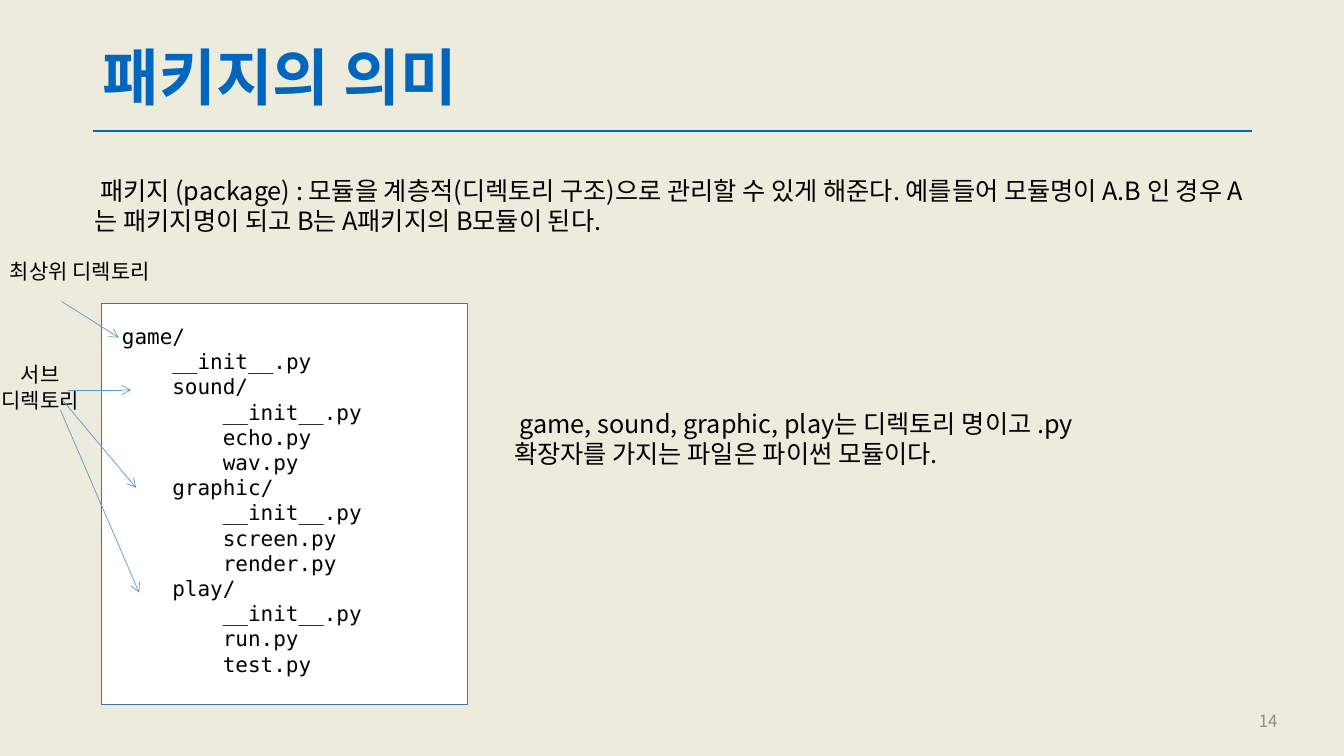
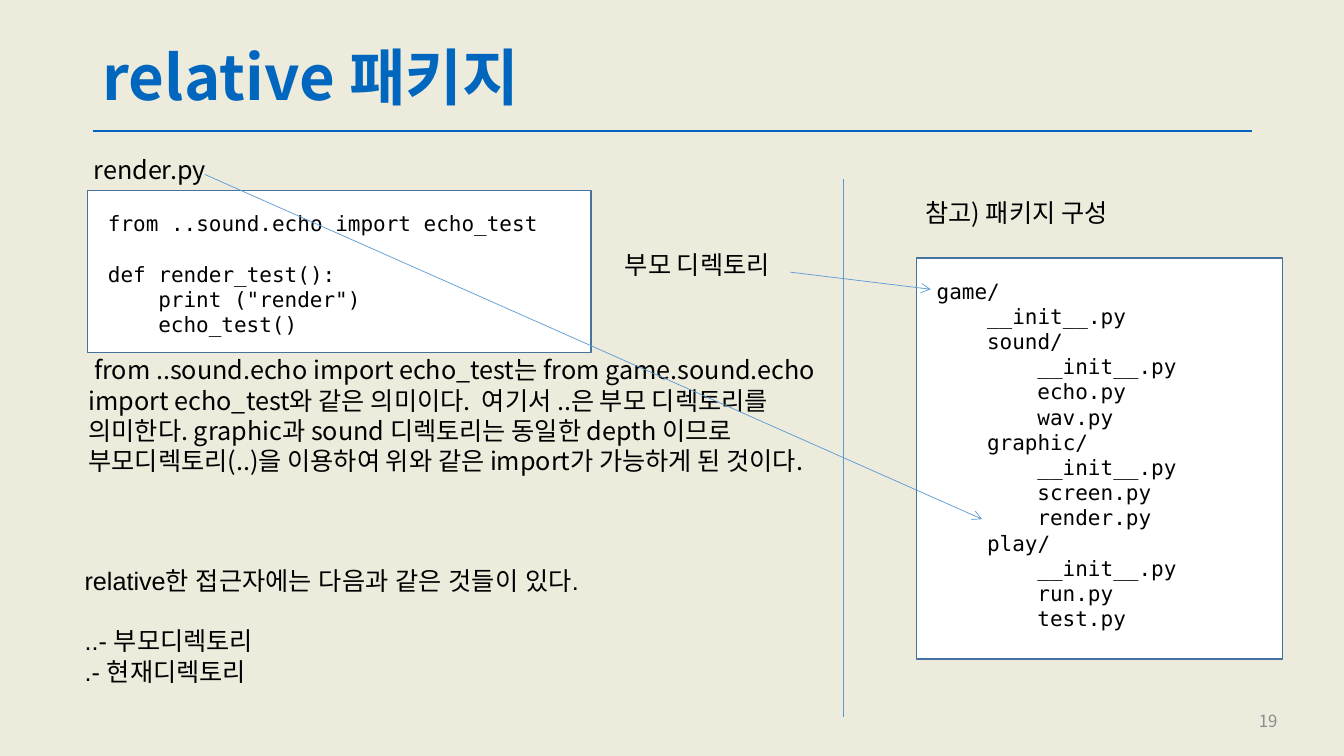
from dataclasses import dataclass

from lxml.etree import SubElement
from pptx import Presentation
from pptx.dml.color import RGBColor
from pptx.enum.shapes import MSO_CONNECTOR, MSO_SHAPE
from pptx.enum.text import MSO_ANCHOR, MSO_AUTO_SIZE, PP_ALIGN
from pptx.oxml.ns import qn
from pptx.util import Inches, Pt


@dataclass(frozen=True)
class Theme:
    paper: str = "ECEBDC"
    accent: str = "0066BE"
    ink: str = "000000"
    muted: str = "8C8C8C"
    panel: str = "FFFFFF"
    panel_edge: str = "43739E"
    pointer: str = "5B9BD5"
    sans: str = "Noto Sans CJK KR"
    mono: str = "DejaVu Sans Mono"
    latin: str = "Arial"
    title_size: float = 44
    body_size: float = 18
    small_size: float = 15
    number_size: float = 12
    rule_width: float = 1.5
    panel_width: float = 1
    pointer_width: float = 0.5
    indent: float = 0.5
    panel_inset: float = 0.2


@dataclass(frozen=True)
class Line:
    text: str
    depth: int = 0
    gap: float = 0


theme = Theme()
TITLE_AREA = (0.92, 0.4, 11.5, 0.8)
NUMBER_AREA = (9.77, 6.95, 3, 0.4)
RULE = ((0.92, 1.3), (12.42, 1.3))
TREE_SIZE = (3.63, 3.98)

PACKAGE_FOLDERS = {
    "sound/": ("__init__.py", "echo.py", "wav.py"),
    "graphic/": ("__init__.py", "screen.py", "render.py"),
    "play/": ("__init__.py", "run.py", "test.py"),
}
PACKAGE_TREE = [Line("game/"), Line("__init__.py", 1)]
for folder, files in PACKAGE_FOLDERS.items():
    PACKAGE_TREE += [Line(folder, 1), *(Line(name, 2) for name in files)]

RENDER_CODE = [
    Line("from ..sound.echo import echo_test"),
    Line("def render_test():", gap=18),
    Line('print ("render")', 1),
    Line("echo_test()", 1),
]
ACCESSORS = [
    Line("relative한 접근자에는 다음과 같은 것들이 있다."),
    Line("..- 부모디렉토리", gap=21.5),
    Line(".- 현재디렉토리"),
]

SMALL = {"size": theme.small_size}
TIGHT = {"wrap": False}
PAGES = [
    {
        "title": "패키지의 의미",
        "number": "14",
        "panels": [((1.01, 3.01, *TREE_SIZE), PACKAGE_TREE)],
        "texts": [
            ((0.84, 1.69, 11.65, 0.7),
             [Line(" 패키지 (package) : 모듈을 계층적(디렉토리 구조)으로 관리할 수 있게 해준다. "
                   "예를들어 모듈명이 A.B 인 경우 A는 패키지명이 되고 B는 A패키지의 B모듈이 된다.")], {}),
            ((5, 4, 6.5, 0.7),
             [Line(" game, sound, graphic, play는 디렉토리 명이고 .py "
                   "확장자를 가지는 파일은 파이썬 모듈이다.")], {}),
            ((0, 2.52, 2.05, 0.35), [Line("최상위 디렉토리")], SMALL),
            ((-0.12, 3.54, 1.04, 0.59), [Line("서브"), Line("디렉토리")],
             {**SMALL, **TIGHT, "align": PP_ALIGN.CENTER}),
        ],
        "arrows": [
            ((0.61, 2.99), (1.18, 3.35)),
            ((0.67, 3.87), (1.3, 3.87)),
            ((0.62, 3.97), (1.35, 4.84)),
            ((0.6, 4.07), (1.38, 5.88)),
        ],
        "dividers": [],
    },
    {
        "title": "relative 패키지",
        "number": "19",
        "panels": [
            ((0.87, 1.89, 4.99, 1.61), RENDER_CODE),
            ((9.09, 2.56, *TREE_SIZE), PACKAGE_TREE),
        ],
        "texts": [
            ((0.83, 1.48, 4.32, 0.4), [Line("render.py")], {}),
            ((0.78, 3.47, 7.42, 1.59),
             [Line(" from ..sound.echo import echo_test는 from game.sound.echo import "
                   "echo_test와 같은 의미이다.  여기서 ..은 부모 디렉토리를 의미한다. "
                   "graphic과 sound 디렉토리는 동일한 depth 이므로 부모디렉토리(..)을 "
                   "이용하여 위와 같은 import가 가능하게 된 것이다.")], {}),
            ((0.74, 5.56, 5.51, 1.3), ACCESSORS, {"font": theme.latin}),
            ((9.08, 1.91, 2.21, 0.4), [Line("참고) 패키지 구성")], TIGHT),
            ((6.1, 2.42, 1.8, 0.4), [Line("부모 디렉토리")], TIGHT),
        ],
        "arrows": [((2.03, 1.73), (9.74, 5.15)), ((7.84, 2.7), (9.23, 2.87))],
        "dividers": [((8.36, 1.78), (8.36, 7.11))],
    },
]


def apply(target, values):
    for name, value in values.items():
        setattr(target, name, value)


def inches(values):
    return [Inches(value) for value in values]


def write(box, lines, size=theme.body_size, font=theme.sans, color=theme.ink,
          bold=False, align=PP_ALIGN.LEFT, spacing=None, wrap=True,
          anchor=MSO_ANCHOR.TOP, fit=MSO_AUTO_SIZE.NONE):
    frame = box.text_frame
    apply(frame, {"word_wrap": wrap, "auto_size": fit, "vertical_anchor": anchor})
    for index, line in enumerate(lines):
        para = frame.add_paragraph() if index else frame.paragraphs[0]
        apply(para, {"alignment": align, "line_spacing": spacing,
                     "space_before": Pt(line.gap)})
        span = para.add_run()
        span.text = line.text
        apply(span.font, {"size": Pt(size), "name": font, "bold": bold})
        span.font.color.rgb = RGBColor.from_string(color)
    for node, line in zip(box.element.iter(qn("a:p")), lines):
        if line.depth:
            node.get_or_add_pPr().set("marL", str(Inches(theme.indent * line.depth)))
    for props in box.element.iter(qn("a:rPr")):
        SubElement(props, qn("a:ea"), typeface=font)


def draw_line(page, start, end, color=theme.pointer, width=theme.pointer_width, arrow=False):
    line = page.shapes.add_connector(MSO_CONNECTOR.STRAIGHT, *inches(start + end))
    line.line.color.rgb = RGBColor.from_string(color)
    line.line.width = Pt(width)
    if arrow:
        SubElement(line.line._get_or_add_ln(), qn("a:tailEnd"), type="arrow")
    SubElement(line.element.spPr, qn("a:effectLst"))
    return line


def draw_panel(page, area, lines):
    panel = page.shapes.add_shape(MSO_SHAPE.RECTANGLE, *inches(area))
    panel.shadow.inherit = False
    panel.fill.solid()
    panel.fill.fore_color.rgb = RGBColor.from_string(theme.panel)
    panel.line.color.rgb = RGBColor.from_string(theme.panel_edge)
    panel.line.width = Pt(theme.panel_width)
    sides = ("left", "top", "right", "bottom")
    apply(panel.text_frame, {f"margin_{side}": Inches(theme.panel_inset) for side in sides})
    write(panel, lines, size=theme.small_size, font=theme.mono)


def build_page(deck, layout, content):
    page = deck.slides.add_slide(layout)
    write(page.shapes.title, [Line(content["title"])], size=theme.title_size,
          color=theme.accent, bold=True, spacing=0.9, anchor=MSO_ANCHOR.MIDDLE)
    number = page.shapes.add_textbox(*inches(NUMBER_AREA))
    write(number, [Line(content["number"])], size=theme.number_size,
          color=theme.muted, align=PP_ALIGN.RIGHT, anchor=MSO_ANCHOR.MIDDLE)
    for area, lines in content["panels"]:
        draw_panel(page, area, lines)
    for area, lines, style in content["texts"]:
        box = page.shapes.add_textbox(*inches(area))
        write(box, lines, fit=MSO_AUTO_SIZE.SHAPE_TO_FIT_TEXT, **style)
    for start, end in content["dividers"]:
        draw_line(page, start, end)
    for start, end in content["arrows"]:
        draw_line(page, start, end, arrow=True)
    return page


deck = Presentation()
apply(deck, {"slide_width": Inches(13.33), "slide_height": Inches(7.5)})
layout = deck.slide_layouts.get_by_name("Title Only")
layout.background.fill.solid()
layout.background.fill.fore_color.rgb = RGBColor.from_string(theme.paper)
apply(layout.placeholders[0],
      dict(zip(("left", "top", "width", "height"), inches(TITLE_AREA))))

pages = [build_page(deck, layout, content) for content in PAGES]
rule = draw_line(pages[0], *RULE, color=theme.accent, width=theme.rule_width)
layout.shapes.element.append(rule.element)

deck.save("out.pptx")
